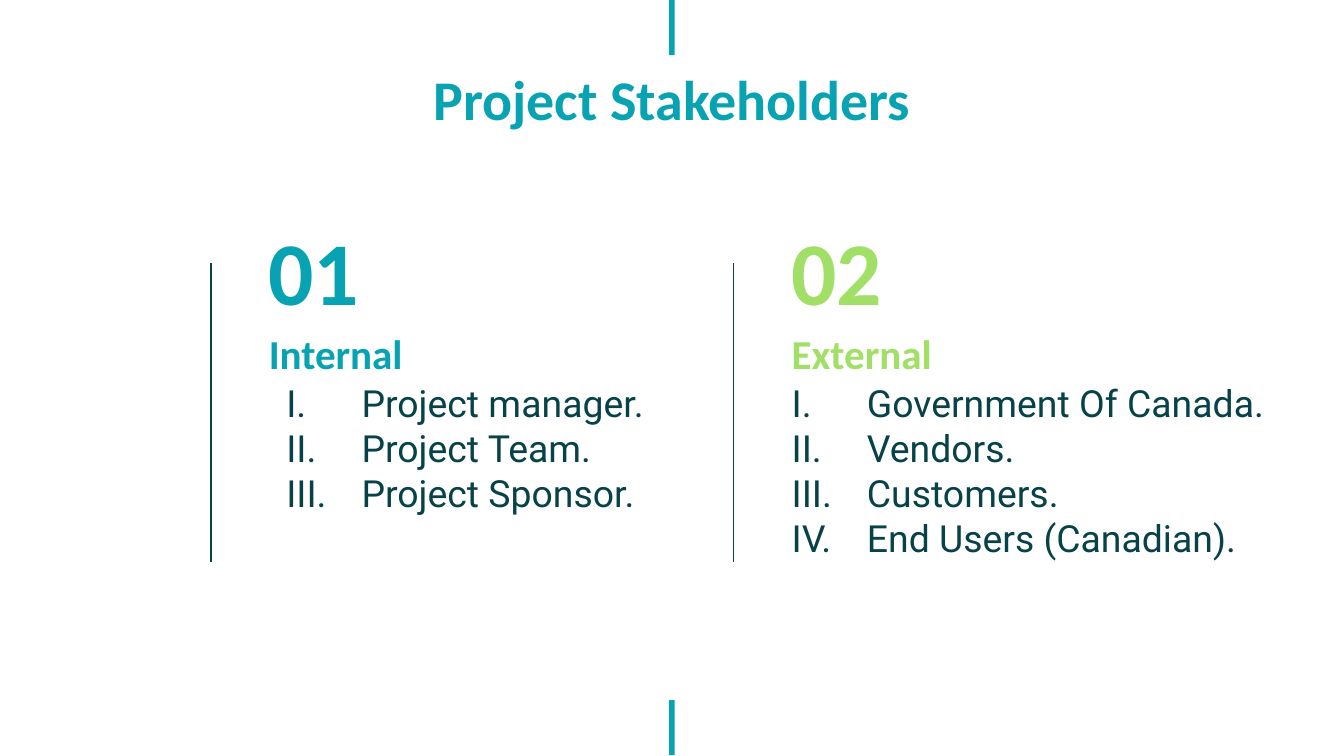
"""Build the Project Stakeholders slide with its two numbered lists."""
from lxml.etree import SubElement
from pptx import Presentation
from pptx.dml.color import RGBColor as RGB
from pptx.enum.shapes import MSO_CONNECTOR as LINE, MSO_SHAPE as SHAPE
from pptx.enum.text import MSO_ANCHOR as ANCHOR, MSO_AUTO_SIZE as FIT, PP_ALIGN as ALIGN
from pptx.oxml.ns import qn
from pptx.util import Inches, Pt

COLORS = {"teal": "07A3B2", "green": "A1DF67", "dark": "064247"}
COLUMNS = [
    ("01", "Internal", "teal", 1.9, (1.08, 1.99, 3.44), 0.69,
     ["Project manager.", "Project Team.", "Project Sponsor."]),
    ("02", "External", "green", 5.79, (1.28, 1.92, 4.02), 0.56,
     ["Government Of Canada.", "Vendors.", "Customers.", "End Users (Canadian)."]),
]


def color(name):
    return RGB.from_string(COLORS[name])


def write(shape, box, lines, size, tint, anchor, font="Calibri", align=ALIGN.LEFT):
    shape.left, shape.top, shape.width, shape.height = map(Inches, box)
    frame = shape.text_frame
    frame.text = "\n".join(lines)
    frame.word_wrap = True
    frame.auto_size = FIT.NONE
    frame.vertical_anchor = anchor
    frame.margin_left = frame.margin_right = Inches(0.1)
    frame.margin_top = frame.margin_bottom = Inches(0.1)
    for par in frame.paragraphs:
        par.alignment = align
        par.line_spacing = 1.0
        par.space_before = par.space_after = Pt(0)
        par.font.name = font
        par.font.size = Pt(size)
        par.font.bold = font == "Calibri"
        par.font.color.rgb = color(tint)
    return frame.paragraphs


deck = Presentation()
deck.slide_width, deck.slide_height = Inches(10), Inches(10 * 9 / 16)
slide = deck.slides.add_slide(deck.slide_layouts.get_by_name("Comparison"))
shapes = slide.shapes
holders = slide.placeholders

for top in (0, 5.21):
    bar = shapes.add_shape(SHAPE.RECTANGLE, Inches(4.98), Inches(top), Inches(0.04), Inches(0.41))
    bar.shadow.inherit = False
    bar.fill.solid()
    bar.fill.fore_color.rgb = color("teal")
    bar.line.fill.background()

write(shapes.title, (1.9, 0.38, 6.2, 1.38), ["Project Stakeholders"], 30, "teal",
      ANCHOR.TOP, align=ALIGN.CENTER)

for col, (number, name, tint, left, widths, indent, items) in enumerate(COLUMNS):
    num_w, head_w, list_w = widths
    head, body = holders[1 + 2 * col], holders[2 + 2 * col]
    write(head, (left, 2.41, head_w, 0.5), [name], 22, tint, ANCHOR.BOTTOM)
    pars = write(body, (left, 2.73, list_w, 1.85), items, 20, "dark", ANCHOR.TOP, "Roboto")
    for par in pars:
        props = par._p.get_or_add_pPr()
        props.set("marL", str(Inches(indent)))
        props.set("indent", str(Inches(-0.56)))
        fill = props.find(qn("a:defRPr"))
        tone = SubElement(props, qn("a:buClr"))
        SubElement(tone, qn("a:srgbClr"), val=COLORS["dark"])
        SubElement(props, qn("a:buFont"), typeface="Roboto")
        SubElement(props, qn("a:buAutoNum"), type="romanUcPeriod")
        props.append(fill)
    label = shapes.add_textbox(0, 0, 0, 0)
    write(label, (left, 1.76, num_w, 0.5), [number], 48, tint, ANCHOR.MIDDLE)
    edge = Inches(left - 0.33)
    rule = shapes.add_connector(LINE.STRAIGHT, edge, Inches(1.96), edge, Inches(4.18))
    rule.line.color.rgb = color("dark")
    rule.line.width = Pt(0.75)
    SubElement(rule._element.spPr, qn("a:effectLst"))

deck.save("out.pptx")
